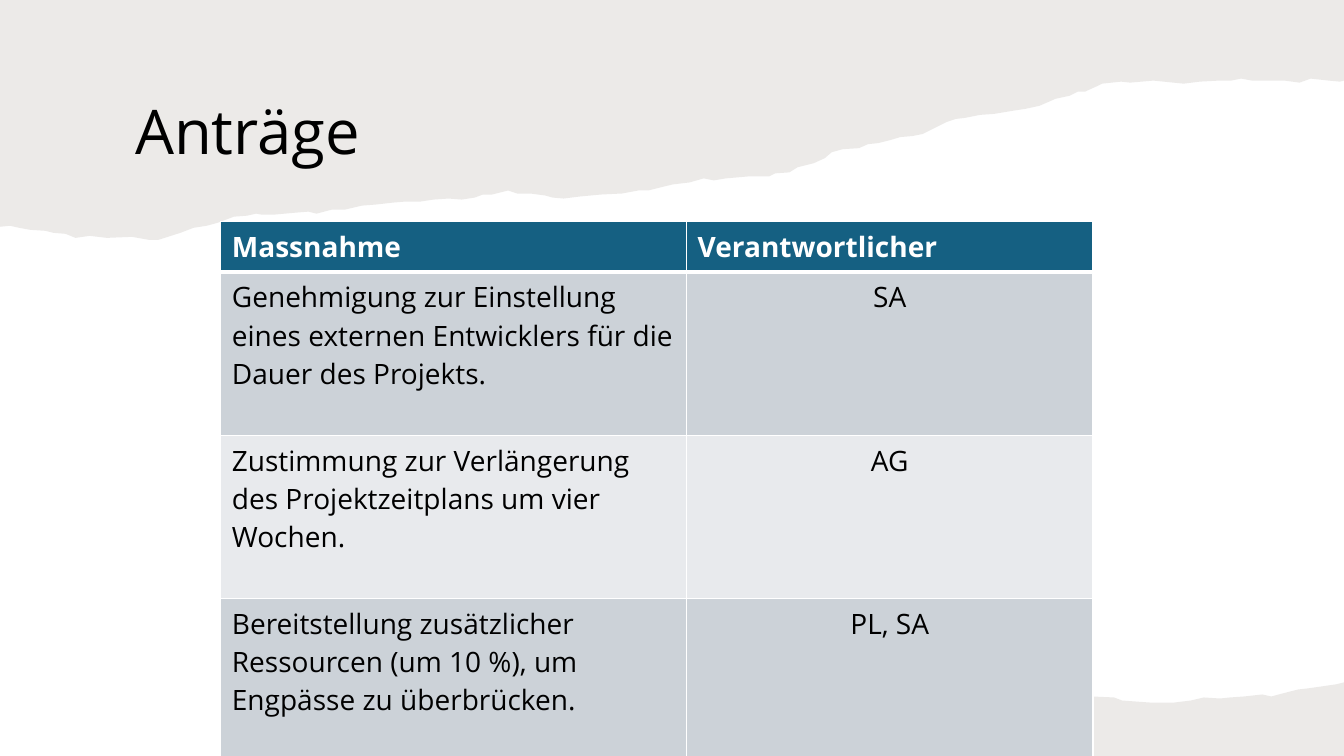
from dataclasses import dataclass

from lxml import etree
from pptx import Presentation
from pptx.dml.color import RGBColor
from pptx.enum.text import MSO_ANCHOR, MSO_AUTO_SIZE, PP_ALIGN
from pptx.oxml.ns import qn
from pptx.util import Inches, Pt

LEFT, CENTER = PP_ALIGN.LEFT, PP_ALIGN.CENTER
MIDDLE = MSO_ANCHOR.MIDDLE
NO_FIT = MSO_AUTO_SIZE.NONE
TITLE_ONLY = 5
WIDTH, HEIGHT = 13.33, 7.5


@dataclass(frozen=True)
class Theme:
    font: str = "Open Sans"
    title: int = 44
    body: int = 20
    ink: str = "000000"
    white: str = "FFFFFF"
    head: str = "156082"
    bands: tuple = ("CCD2D8", "E8EAED")
    paper: str = "82766A"
    alpha: int = 15
    thin: int = 1
    thick: int = 3


# Torn edges, read from right to left
TOP_EDGE = [
    (13.33, 0.8), (13.29, 0.81), (13.18, 0.8), (13, 0.78), (12.89, 0.82),
    (12.74, 0.8), (12.42, 0.8), (12.31, 0.78), (12.21, 0.8), (12.09, 0.8),
    (11.9, 0.81), (11.74, 0.83), (11.44, 0.8), (11.21, 0.82), (11.12, 0.81),
    (10.93, 0.83), (10.87, 0.86), (10.76, 0.91), (10.69, 0.91), (10.61, 0.95),
    (10.47, 0.98), (10.31, 1.05), (10.17, 1.08), (10.04, 1.1), (9.86, 1.13),
    (9.72, 1.14), (9.57, 1.17), (9.48, 1.18), (9.39, 1.21), (9.25, 1.28),
    (9.15, 1.33), (9.05, 1.35), (8.93, 1.36), (8.83, 1.39), (8.71, 1.42),
    (8.61, 1.43), (8.52, 1.47), (8.36, 1.48), (8.25, 1.51), (8.18, 1.57),
    (8.07, 1.62), (7.91, 1.66), (7.83, 1.71), (7.69, 1.72), (7.63, 1.75),
    (7.43, 1.75), (7.2, 1.77), (7.08, 1.79), (6.98, 1.77), (6.84, 1.81),
    (6.67, 1.83), (6.43, 1.89), (6.33, 1.89), (6.17, 1.92), (5.96, 1.93),
    (5.75, 1.95), (5.59, 1.97), (5.48, 1.96), (5.41, 1.94), (5.26, 1.92),
    (5.13, 1.92), (5.04, 1.89), (4.88, 1.93), (4.79, 1.93), (4.71, 1.96),
    (4.58, 1.98), (4.45, 1.97), (4.3, 1.98), (4.17, 2), (4.02, 2),
    (3.9, 2.01), (3.72, 2.03), (3.59, 2.04), (3.42, 2.08), (3.29, 2.08),
    (3.14, 2.12), (3.06, 2.1), (2.93, 2.11), (2.71, 2.13), (2.6, 2.13),
    (2.54, 2.12), (2.45, 2.14), (2.32, 2.15), (2.16, 2.21), (2.05, 2.24),
    (1.92, 2.26), (1.79, 2.31), (1.57, 2.38), (1.48, 2.38), (1.31, 2.35),
    (1.06, 2.36), (0.89, 2.34), (0.75, 2.36), (0.65, 2.32), (0.53, 2.31),
    (0.45, 2.29), (0.3, 2.28), (0.19, 2.26), (0.1, 2.24), (0, 2.25),
]
LOW_EDGE = [
    (13.33, 6.77), (13.25, 6.79), (13.11, 6.81), (12.97, 6.83), (12.88, 6.84),
    (12.72, 6.88), (12.61, 6.91), (12.52, 6.89), (12.34, 6.91), (12.2, 6.92),
    (12.1, 6.93), (11.94, 6.92), (11.81, 6.95), (11.65, 6.97), (11.4, 6.97),
    (11.13, 6.95), (11.05, 6.92), (10.83, 6.91), (10.75, 6.91), (10.66, 6.89),
    (10.51, 6.91), (10.34, 6.89), (10.18, 6.88), (10.01, 6.89), (9.72, 6.95),
    (9.5, 6.98), (9.32, 6.98), (9.17, 6.97), (9.07, 6.96), (8.92, 7),
    (8.76, 7.04), (8.61, 7.06), (8.29, 7.04), (8.06, 7.05), (7.9, 7.08),
    (7.78, 7.11), (7.67, 7.14), (7.53, 7.16), (7.31, 7.18), (7.2, 7.21),
    (7.06, 7.22), (6.96, 7.24), (6.69, 7.28), (6.57, 7.29), (6.36, 7.32),
    (6.19, 7.32), (6.03, 7.32), (5.74, 7.36), (5.6, 7.34), (5.42, 7.34),
    (5.3, 7.4), (5.02, 7.41), (4.82, 7.48), (4.77, 7.5),
]
ROWS = [
    ("Massnahme", "Verantwortlicher"),
    ("Genehmigung zur Einstellung eines externen Entwicklers für die Dauer "
     "des Projekts.", "SA"),
    ("Zustimmung zur Verlängerung des Projektzeitplans um vier Wochen.", "AG"),
    ("Bereitstellung zusätzlicher Ressourcen (um 10 %), um Engpässe zu "
     "überbrücken.", "PL, SA"),
]


class Board:
    def __init__(self, deck, theme):
        self.theme = theme
        self.slide = deck.slides.add_slide(deck.slide_layouts[TITLE_ONLY])
        self.shapes = self.slide.shapes
        fill = self.slide.background.fill
        fill.solid()
        fill.fore_color.rgb = RGBColor.from_string(theme.white)

    def put(self, item, **form):
        for name, value in form.items():
            setattr(item, name, value)

    def label(self, frame, text, size, color, bold=False, align=LEFT):
        frame.text = text
        line = frame.paragraphs[0]
        line.alignment = align
        font = line.runs[0].font
        self.put(font, name=self.theme.font, size=Pt(size), bold=bold)
        font.color.rgb = RGBColor.from_string(color)
        return line

    def title(self, text, left, top, width, height):
        box = self.shapes.title
        self.put(box, left=Inches(left), top=Inches(top),
                 width=Inches(width), height=Inches(height))
        line = self.label(box.text_frame, text, self.theme.title, self.theme.ink)
        line.line_spacing = 0.9
        self.put(box.text_frame, auto_size=NO_FIT, word_wrap=True,
                 vertical_anchor=MIDDLE)

    def tear(self, edge, side):
        """Fill the paper between a torn edge and a side of the slide."""
        ends = [(edge[-1][0], side), (WIDTH, side)]
        spots = [(Inches(x), Inches(y)) for x, y in edge + ends]
        pen = self.shapes.build_freeform(*spots[0])
        pen.add_line_segments(spots[1:], close=True)
        shape = pen.convert_to_shape()
        shape.shadow.inherit = False
        shape.line.fill.background()
        shape.fill.solid()
        shape.fill.fore_color.rgb = RGBColor.from_string(self.theme.paper)
        tint = shape.element.spPr.find(".//" + qn("a:srgbClr"))
        etree.SubElement(tint, qn("a:alpha"), val=str(self.theme.alpha * 1000))
        self.shapes.element.insert(2, shape.element)

    def border(self, cell, widths):
        props = cell._tc.get_or_add_tcPr()
        for spot, (side, width) in enumerate(widths.items()):
            line = etree.Element(qn("a:ln" + side), w=str(Pt(width)))
            fill = etree.SubElement(line, qn("a:solidFill"))
            etree.SubElement(fill, qn("a:srgbClr"), val=self.theme.white)
            props.insert(spot, line)

    def cell(self, cell, text, row, col):
        theme, head = self.theme, row == 0
        self.label(cell.text_frame, text, theme.body,
                   theme.white if head else theme.ink, head,
                   CENTER if col and not head else LEFT)
        self.put(cell, margin_left=Inches(0.11), margin_right=Inches(0.11),
                 margin_top=Inches(0.06), margin_bottom=Inches(0.06))
        shade = theme.head if head else theme.bands[(row - 1) % 2]
        cell.fill.solid()
        cell.fill.fore_color.rgb = RGBColor.from_string(shade)
        self.border(cell, {"L": theme.thin, "R": theme.thin,
                           "T": theme.thick if row == 1 else theme.thin,
                           "B": theme.thick if head else theme.thin})

    def table(self, rows, left, top, widths, heights):
        frame = self.shapes.add_table(
            len(rows), len(widths), Inches(left), Inches(top),
            Inches(sum(widths)), Inches(sum(heights)))
        table = frame.table
        self.put(table, first_row=False, horz_banding=False)
        for col, width in zip(table.columns, widths):
            col.width = Inches(width)
        for row, height in zip(table.rows, heights):
            row.height = Inches(height)
        for r, texts in enumerate(rows):
            for c, text in enumerate(texts):
                self.cell(table.cell(r, c), text, r, c)


def main():
    deck = Presentation()
    deck.slide_width, deck.slide_height = Inches(WIDTH), Inches(HEIGHT)
    board = Board(deck, Theme())
    board.tear(LOW_EDGE, HEIGHT)
    board.tear(TOP_EDGE, 0)
    board.title("Anträge", 1.24, 0.81, 10.14, 1.04)
    board.table(ROWS, 2.19, 2.2, [4.62, 4.03], [0.49] + [1.62] * 3)
    deck.save("out.pptx")


if __name__ == "__main__":
    main()
